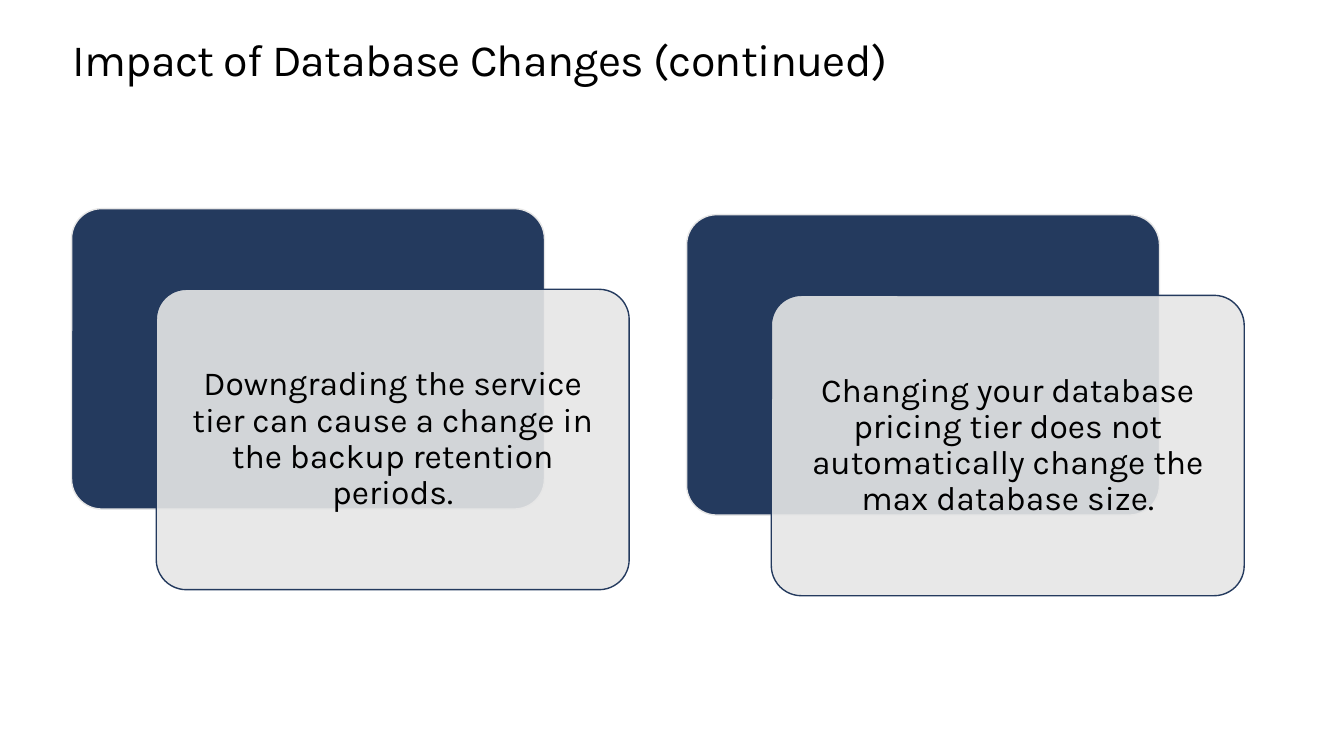
import pptx
import pptx.dml.color
import pptx.enum.shapes
import pptx.enum.text
import pptx.oxml
import pptx.oxml.ns
import pptx.util

Inches = pptx.util.Inches
Pt = pptx.util.Pt
COLORS = {"navy": "243A5E", "grey": "E6E6E6", "white": "FFFFFF", "black": "000000"}
FONT = "Karla"
SLIDE_W, SLIDE_H = 13.33, 7.5
CARD_W, CARD_H = 4.69, 2.98
OFFSET_X, OFFSET_Y = 0.84, 0.8
LEFT, TOP = 0.71, 2.07
STEP_X, STEP_Y = 6.1, 0.06
MESSAGES = [
    "Downgrading the service tier can cause a change in the backup retention periods.",
    "Changing your database pricing tier does not automatically change the max database size.",
]


def rgb(name):
    return pptx.dml.color.RGBColor.from_string(COLORS[name])


def set_font(p, size):
    p.font.name = FONT
    p.font.size = Pt(size)
    p.font.color.rgb = rgb("black")


def add_title(s, text, left, top, width, height):
    sp = s.shapes.title
    sp.left, sp.top = Inches(left), Inches(top)
    sp.width, sp.height = Inches(width), Inches(height)
    sp.fill.solid()
    sp.fill.fore_color.rgb = rgb("white")
    tf = sp.text_frame
    tf.margin_left = tf.margin_right = tf.margin_top = tf.margin_bottom = 0
    tf.vertical_anchor = pptx.enum.text.MSO_ANCHOR.TOP
    tf.word_wrap = True
    tf.auto_size = pptx.enum.text.MSO_AUTO_SIZE.SHAPE_TO_FIT_TEXT
    p = tf.paragraphs[0]
    p.alignment = pptx.enum.text.PP_ALIGN.LEFT
    p.line_spacing = Pt(36.2)
    r = p.add_run()
    r.text = text
    r._r.get_or_add_rPr().set("spc", "-50")
    set_font(p, 32)


def add_card(s, left, top, fill, line):
    sp = s.shapes.add_shape(
        pptx.enum.shapes.MSO_SHAPE.ROUNDED_RECTANGLE,
        Inches(left), Inches(top), Inches(CARD_W), Inches(CARD_H))
    sp.adjustments[0] = 0.1
    sp.shadow.inherit = False
    sp.fill.solid()
    sp.fill.fore_color.rgb = rgb(fill)
    sp.line.color.rgb = rgb(line)
    sp.line.width = Pt(1)
    return sp


def add_message(s, text, left, top):
    add_card(s, left, top, "navy", "grey")
    sp = add_card(s, left + OFFSET_X, top + OFFSET_Y, "grey", "navy")
    color = sp.fill._xPr.find(".//" + pptx.oxml.ns.qn("a:srgbClr"))
    alpha = pptx.oxml.parse_xml(f'<a:alpha {pptx.oxml.ns.nsdecls("a")} val="90000"/>')
    color.append(alpha)
    tf = sp.text_frame
    tf.word_wrap = True
    tf.vertical_anchor = pptx.enum.text.MSO_ANCHOR.MIDDLE
    tf.margin_left = tf.margin_right = tf.margin_top = tf.margin_bottom = Inches(0.1)
    p = tf.paragraphs[0]
    p.text = text
    p.alignment = pptx.enum.text.PP_ALIGN.CENTER
    p.line_spacing = 0.9
    set_font(p, 24)


def main():
    prs = pptx.Presentation()
    prs.slide_width, prs.slide_height = Inches(SLIDE_W), Inches(SLIDE_H)
    s = prs.slides.add_slide(prs.slide_layouts.get_by_name("Title Only"))
    add_title(s, "Impact of Database Changes (continued)", 0.72, 0.35, 11.9, 0.5)
    for i, text in enumerate(MESSAGES):
        add_message(s, text, LEFT + i * STEP_X, TOP + i * STEP_Y)
    prs.save("out.pptx")


if __name__ == "__main__":
    main()
